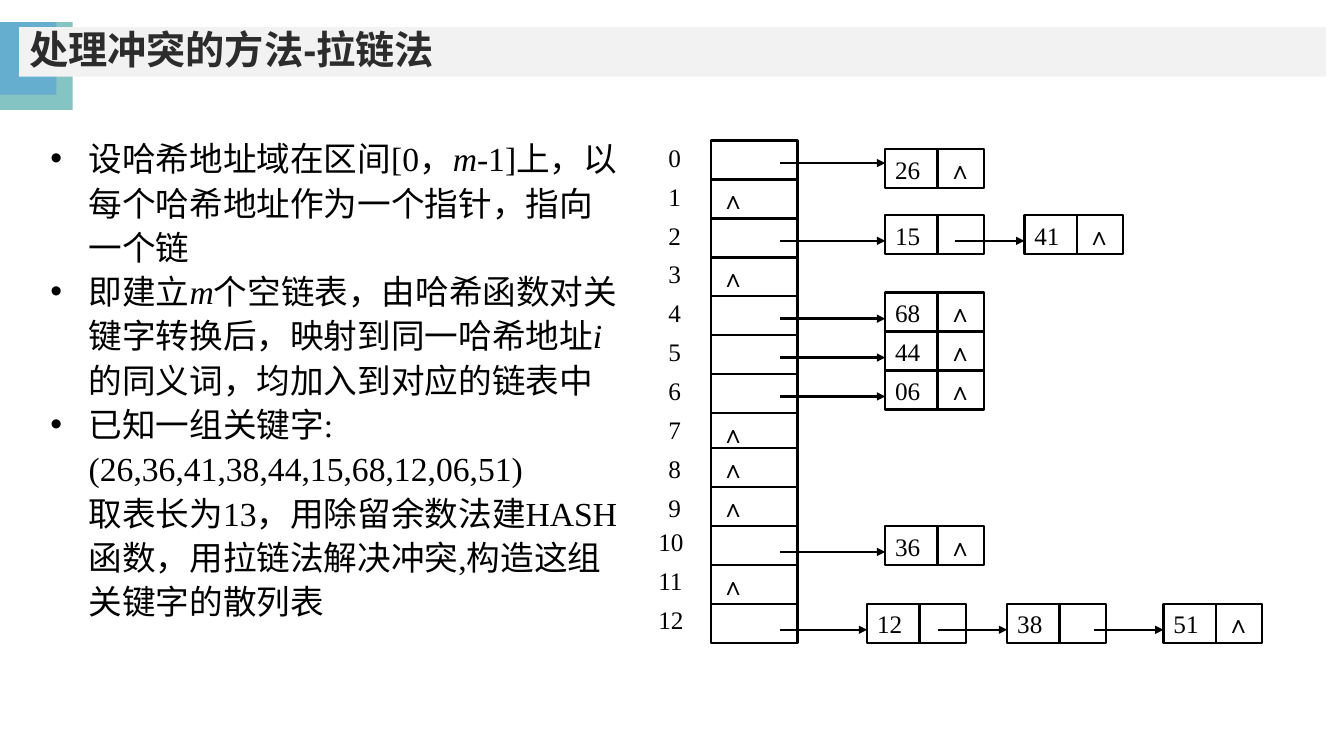
"""Build the slide on resolving hash conflicts by chaining."""
from dataclasses import dataclass

import lxml.etree
import pptx
import pptx.dml.color
import pptx.enum.shapes
import pptx.enum.text
import pptx.oxml.ns
import pptx.util

ALIGN = pptx.enum.text.PP_ALIGN
ANCHOR = pptx.enum.text.MSO_ANCHOR
RECTANGLE = pptx.enum.shapes.MSO_SHAPE.RECTANGLE
STRAIGHT = pptx.enum.shapes.MSO_CONNECTOR.STRAIGHT

SLIDE_WIDTH = pptx.util.Inches(13.33)
SLIDE_HEIGHT = pptx.util.Inches(7.5)
GRID_COLUMNS, GRID_ROWS = 133.3, 75
NIL = "∧"


@dataclass(frozen=True)
class Theme:
    ink: str = "000000"
    paper: str = "FFFFFF"
    heading: str = "2C2C2C"
    band: str = "F2F2F2"
    teal: str = "84C4C3"
    blue: str = "65AECF"
    heading_font: str = "Arial"
    text_font: str = "Times New Roman"
    heading_size: int = 28
    body_size: int = 24
    cell_size: int = 18
    stroke: float = 1.75


THEME = Theme()

ADDRESSES = range(13)
TABLE_TOP, LAST_TOP = 13.6, 59.9
PITCH = (LAST_TOP - TABLE_TOP) / (len(ADDRESSES) - 1)
CELL_HEIGHT = 3.87
KEY_WIDTH, LINK_WIDTH = 5.2, 4.6
LABEL_LEFT, SLOT_LEFT, SLOT_WIDTH = 65.3, 70.5, 8.6
POINTER_START, LINK_LENGTH, POINTER_DROP = 77.4, 6.9, 2.58
CHAINS = {
    0: [("26", 87.8)],
    2: [("15", 87.8), ("41", 101.6)],
    4: [("68", 87.8)],
    5: [("44", 87.8)],
    6: [("06", 87.8)],
    10: [("36", 87.8)],
    12: [("12", 86), ("38", 99.9), ("51", 115.4)],
}
TITLE = "处理冲突的方法-拉链法"
POINTS = [
    [("设哈希地址域在区间[0，", False), ("m", True),
     ("-1]上，以每个哈希地址作为一个指针，指向一个链", False)],
    [("即建立", False), ("m", True),
     ("个空链表，由哈希函数对关键字转换后，映射到同一哈希地址", False),
     ("i", True), ("的同义词，均加入到对应的链表中", False)],
    [("已知一组关键字:\n(26,36,41,38,44,15,68,12,06,51)\n"
      "取表长为13，用除留余数法建HASH函数，用拉链法解决冲突,"
      "构造这组关键字的散列表", False)],
]


def across(columns):
    """Convert grid columns to a length."""
    return round(SLIDE_WIDTH * columns / GRID_COLUMNS)


def down(rows):
    """Convert grid rows to a length."""
    return round(SLIDE_HEIGHT * rows / GRID_ROWS)


def box(left, top, width, height):
    """Return a grid area as lengths."""
    return across(left), down(top), across(width), down(height)


def color(value):
    """Return a colour from its hex value."""
    return pptx.dml.color.RGBColor.from_string(value)


def apply_format(target, values):
    """Set each named attribute on the target."""
    for name, value in values.items():
        setattr(target, name, value)


def move(placeholder, area):
    """Move a placeholder to an area and bring it to the front."""
    apply_format(placeholder, dict(zip(("left", "top", "width", "height"), area)))
    placeholder.element.getparent().append(placeholder.element)


def paint(shape, fill):
    """Fill a shape with a solid colour."""
    shape.fill.solid()
    shape.fill.fore_color.rgb = color(fill)


def style_font(font, ink, **values):
    """Set the colour and other values of a font."""
    apply_format(font, values)
    font.color.rgb = color(ink)


def draw_rectangle(shapes, area, fill, outlined=False):
    """Draw a flat rectangle."""
    rectangle = shapes.add_shape(RECTANGLE, *area)
    rectangle.shadow.inherit = False
    paint(rectangle, fill)
    if outlined:
        rectangle.line.color.rgb = color(THEME.ink)
        rectangle.line.width = pptx.util.Pt(THEME.stroke)
    else:
        rectangle.line.fill.background()
    return rectangle


def draw_cell(shapes, area, text="", outlined=True, insets=None):
    """Draw a table or node cell with its text."""
    cell = draw_rectangle(shapes, area, THEME.paper, outlined)
    if text:
        frame = cell.text_frame
        apply_format(frame, {"vertical_anchor": ANCHOR.TOP, "word_wrap": True,
                             **(insets or {})})
        paragraph = frame.paragraphs[0]
        paragraph.alignment = ALIGN.JUSTIFY
        run = paragraph.add_run()
        run.text = text
        style_font(run.font, THEME.ink, name=THEME.text_font,
                   size=pptx.util.Pt(THEME.cell_size))


def draw_pointer(shapes, start, end, level):
    """Draw a horizontal arrow."""
    pointer = shapes.add_connector(STRAIGHT, across(start), down(level),
                                   across(end), down(level))
    pointer.line.color.rgb = color(THEME.ink)
    pointer.line.width = pptx.util.Pt(THEME.stroke)
    qn = pptx.oxml.ns.qn
    properties = pointer.element.spPr
    lxml.etree.SubElement(properties.find(qn("a:ln")), qn("a:tailEnd"), type="triangle")
    lxml.etree.SubElement(properties, qn("a:effectLst"))


def draw_address(shapes, address):
    """Draw an address label and its slot in the table."""
    top = TABLE_TOP + PITCH * address
    insets = {"margin_left": 0, "margin_top": 0} if address > 9 else None
    draw_cell(shapes, box(LABEL_LEFT, top, LINK_WIDTH, CELL_HEIGHT),
              str(address), False, insets)
    slot_top = top + (0.35 if address < 8 else 0)
    draw_cell(shapes, box(SLOT_LEFT, slot_top, SLOT_WIDTH, CELL_HEIGHT),
              "" if address in CHAINS else NIL)


def draw_chain(shapes, address, nodes):
    """Draw the linked nodes of one address."""
    top = TABLE_TOP + PITCH * address
    node_top = top + (1.2 if address == 0 else 0)
    for key, left in nodes:
        draw_cell(shapes, box(left, node_top, KEY_WIDTH, CELL_HEIGHT), key)
        draw_cell(shapes, box(left + KEY_WIDTH, node_top, LINK_WIDTH, CELL_HEIGHT),
                  NIL if key == nodes[-1][0] else "")
    for position, (_, left) in enumerate(nodes):
        start = left - LINK_LENGTH if position else POINTER_START
        draw_pointer(shapes, start, left, top + POINTER_DROP)


def write_title(title):
    """Format the title band."""
    move(title, box(1.9, 2.7, 129.6, 4.9))
    paint(title, THEME.band)
    apply_format(title.text_frame, {"vertical_anchor": ANCHOR.MIDDLE, "word_wrap": True,
                                    "auto_size": pptx.enum.text.MSO_AUTO_SIZE.NONE})
    paragraph = title.text_frame.paragraphs[0]
    apply_format(paragraph, {"alignment": ALIGN.LEFT, "line_spacing": 0.9})
    run = paragraph.add_run()
    run.text = TITLE
    style_font(run.font, THEME.heading, name=THEME.heading_font, bold=True,
               size=pptx.util.Pt(THEME.heading_size))


def add_bullet(paragraph):
    """Give a paragraph a hanging round bullet."""
    qn = pptx.oxml.ns.qn
    properties = paragraph._p.get_or_add_pPr()
    indent = pptx.util.Inches(0.38)
    properties.set("marL", str(indent))
    properties.set("indent", str(-indent))
    bullet_color = lxml.etree.SubElement(properties, qn("a:buClr"))
    lxml.etree.SubElement(bullet_color, qn("a:srgbClr"), val=THEME.ink)
    lxml.etree.SubElement(properties, qn("a:buFont"), typeface="Arial")
    lxml.etree.SubElement(properties, qn("a:buChar"), char="•")


def write_points(body):
    """Fill the body with the bulleted points."""
    move(body, box(4, 12.8, 58.7, 49.7))
    frame = body.text_frame
    apply_format(frame, {"vertical_anchor": ANCHOR.TOP, "word_wrap": True,
                         "auto_size": pptx.enum.text.MSO_AUTO_SIZE.NONE})
    for number, point in enumerate(POINTS):
        paragraph = frame.add_paragraph() if number else frame.paragraphs[0]
        apply_format(paragraph, {"alignment": ALIGN.LEFT, "line_spacing": 1.1,
                                 "space_before": pptx.util.Pt(0)})
        add_bullet(paragraph)
        for text, italic in point:
            for line_number, line in enumerate(text.split("\n")):
                if line_number:
                    paragraph.add_line_break()
                run = paragraph.add_run()
                run.text = line
                style_font(run.font, THEME.ink, name=THEME.text_font, italic=italic,
                           size=pptx.util.Pt(THEME.body_size))


def main():
    """Build and save the slide."""
    deck = pptx.Presentation()
    apply_format(deck, {"slide_width": SLIDE_WIDTH, "slide_height": SLIDE_HEIGHT})
    slide = deck.slides.add_slide(deck.slide_layouts[1])
    corner = slide.shapes.add_group_shape().shapes
    draw_rectangle(corner, box(0, 2.2, 7.2, 8.7), THEME.teal)
    draw_rectangle(corner, box(0, 2.2, 5.6, 7.2), THEME.blue)
    write_title(slide.shapes.title)
    write_points(slide.placeholders[1])
    hash_table = slide.shapes.add_group_shape().shapes
    for address in ADDRESSES:
        draw_address(hash_table, address)
    for address, nodes in CHAINS.items():
        draw_chain(hash_table, address, nodes)


    deck.save("out.pptx")


if __name__ == "__main__":
    main()
